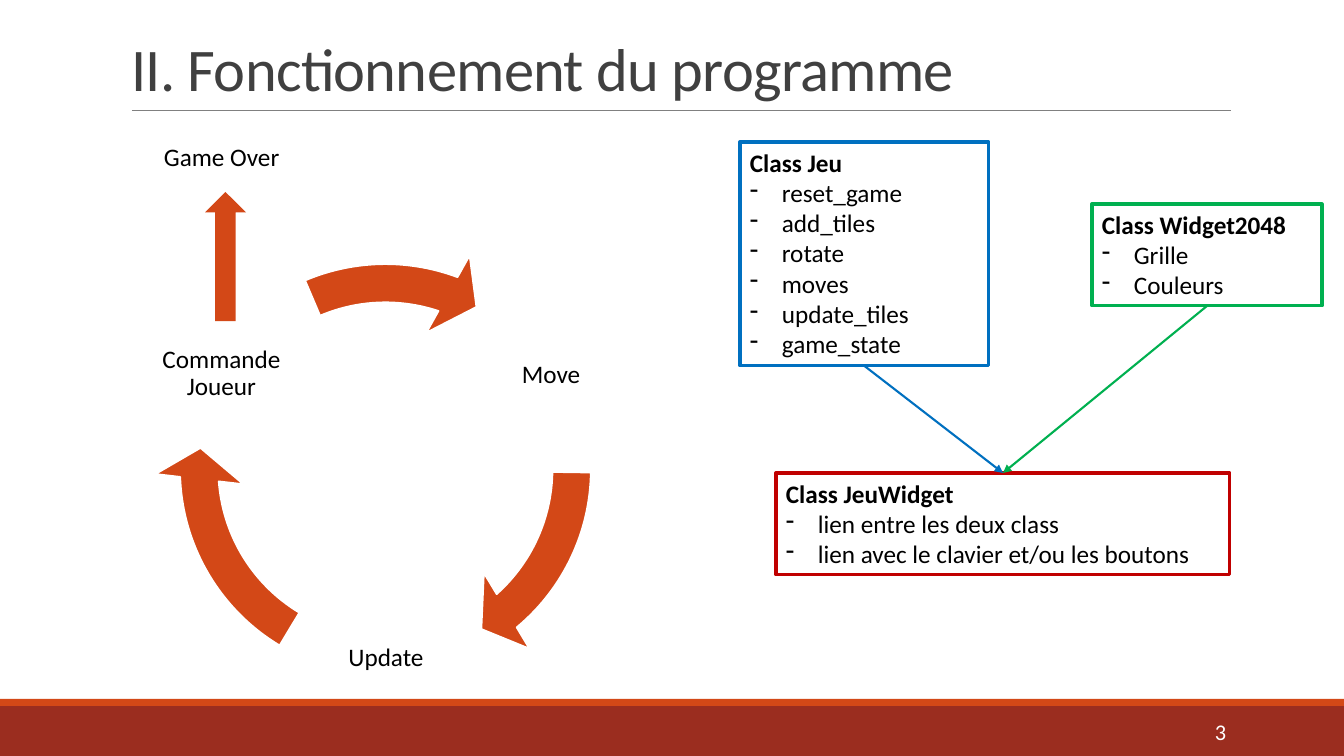
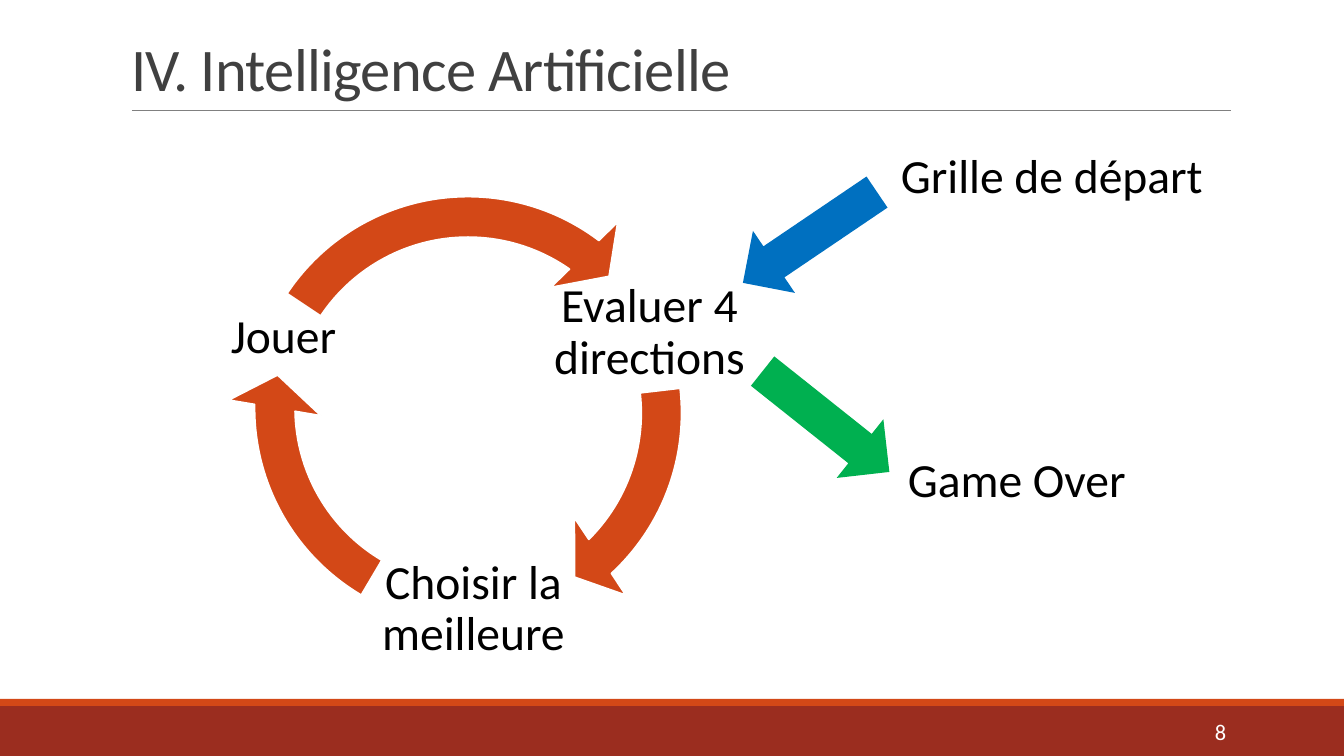
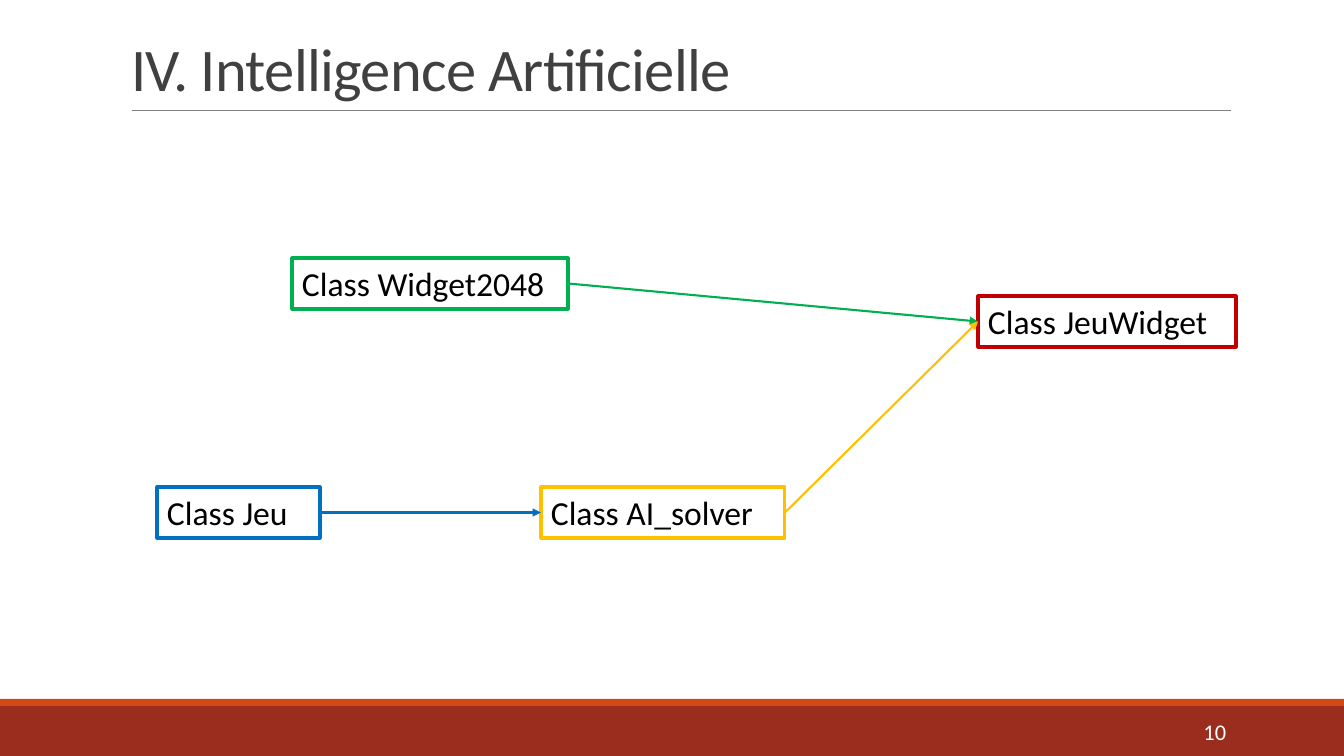
from dataclasses import dataclass

from pptx import Presentation
from pptx.dml.color import RGBColor
from pptx.enum.shapes import MSO_CONNECTOR, MSO_SHAPE
from pptx.enum.text import MSO_ANCHOR, PP_ALIGN
from pptx.oxml.ns import qn
from pptx.oxml.xmlchemy import OxmlElement
from pptx.util import Emu, Pt


@dataclass(frozen=True)
class Theme:
    """Colours, font and type sizes of the presentation."""
    font: str = "Calibri"
    title: str = "404040"
    text: str = "000000"
    white: str = "FFFFFF"
    orange: str = "D34817"
    brick: str = "9B2D1F"
    rule: str = "808080"
    blue: str = "0070C0"
    green: str = "00B050"
    red: str = "C00000"
    yellow: str = "FFC000"
    title_size: float = 43.2
    number_size: int = 16
    body_size: int = 18
    class_size: int = 24
    large_size: int = 34


THEME = Theme()
SCALE = 12192000 / 1344  # EMU per pixel
SLIDE_SIZE = (1344, 756)
TITLE_BOX = (121, 31, 1109, 78)
NUMBER_BOX = (1092, 712, 144, 40)
BANDS = [((0, 706, 1344, 50), THEME.brick), ((0, 699, 1344, 7), THEME.orange)]
RULE = (132, 110, 1231, 110)
BULLET_INDENT = 32
TOP, LEFT, BOTTOM, RIGHT = range(4)  # connection sites of a rectangle

# Class boxes: name -> (box, colour, bulleted members)
# Links: (source, site, target, site); a link takes the colour of its source
# Cycle labels: (text, box); cycle arrows: (box, start angle, head angle, rotation)
SLIDES = [
    {
        "title": "II. Fonctionnement du programme",
        "number": "3",
        "class_size": THEME.body_size,
        "classes": {
            "Class Jeu": ((740, 142, 249, 224), THEME.blue,
                          ["reset_game", "add_tiles", "rotate", "moves",
                           "update_tiles", "game_state"]),
            "Class Widget2048": ((1092, 204, 230, 102), THEME.green,
                                 ["Grille", "Couleurs"]),
            "Class JeuWidget": ((776, 473, 454, 102), THEME.red,
                                ["lien entre les deux class",
                                 "lien avec le clavier et/ou les boutons"]),
        },
        "links": [("Class Jeu", BOTTOM, "Class JeuWidget", TOP),
                  ("Class Widget2048", BOTTOM, "Class JeuWidget", TOP)],
        "label_size": THEME.body_size,
        "label_inset": 3,
        "cycle_labels": [("Move", (453, 277, 196, 196)),
                         ("Update", (288, 560, 196, 196)),
                         ("Commande Joueur", (157, 301, 129, 146))],
        "cycle_arrows": [((155, 239, 461, 461), 0.87, 49.38, 0),
                         ((155, 239, 461, 461), 121.01, 177.01, 0),
                         ((155, 239, 461, 461), 238.28, 280.93, 8.7)],
        "block_arrows": [(MSO_SHAPE.UP_ARROW, (205, 192, 41, 129), THEME.orange, 0)],
        "labels": [("Game Over", (154, 136, 249, 40))],
    },
    {
        "title": "IV. Intelligence Artificielle",
        "number": "8",
        "label_size": THEME.large_size,
        "label_inset": 5,
        "cycle_labels": [("Evaluer 4 directions", (546, 275, 207, 116)),
                         ("Choisir la meilleure", (370, 506, 207, 207)),
                         ("Jouer", (180, 303, 207, 71))],
        "cycle_arrows": [((223, 169, 485, 488), 353.41, 46.8, 0),
                         ((228, 164, 488, 488), 120.62, 180.03, 0),
                         ((224, 170, 488, 488), 213.66, 306.12, 0)],
        "block_arrows": [
            (MSO_SHAPE.LEFT_ARROW, (729, 200, 162, 75), THEME.blue, 325.9),
            (MSO_SHAPE.LEFT_ARROW, (745, 384, 162, 75), THEME.green, 218.5)],
        "labels": [("Grille de départ", (891, 141, 364, 67)),
                   ("Game Over", (898, 445, 297, 67))],
    },
    {
        "title": "IV. Intelligence Artificielle",
        "number": "10",
        "class_size": THEME.class_size,
        "classes": {
            "Class Widget2048": ((292, 258, 276, 51), THEME.green, []),
            "Class Jeu": ((157, 487, 163, 51), THEME.blue, []),
            "Class AI_solver": ((541, 487, 244, 51), THEME.yellow, []),
            "Class JeuWidget": ((978, 296, 258, 51), THEME.red, []),
        },
        "links": [("Class Jeu", RIGHT, "Class AI_solver", LEFT),
                  ("Class Widget2048", RIGHT, "Class JeuWidget", LEFT),
                  ("Class AI_solver", RIGHT, "Class JeuWidget", LEFT)],
    },
]


def emu(*pixels):
    """Turn pixel lengths into EMU."""
    return [Emu(round(pixel * SCALE)) for pixel in pixels]


def set_all(target, values):
    """Set attributes of an object from a dict."""
    for name, value in values.items():
        setattr(target, name, value)


def write(paragraph, text, size, colour=THEME.text, bold=False, **layout):
    """Write one formatted run and lay out its paragraph."""
    run = paragraph.add_run()
    run.text = text
    set_all(run.font, {"name": THEME.font, "size": Pt(size), "bold": bold})
    run.font.color.rgb = RGBColor.from_string(colour)
    set_all(paragraph, layout)
    return run


def add_bullet(paragraph):
    """Give a paragraph a hanging dash."""
    indent = emu(BULLET_INDENT)[0]
    properties = paragraph._p.get_or_add_pPr()
    properties.set("marL", str(indent))
    properties.set("indent", str(-indent))
    bullet = OxmlElement("a:buChar")
    bullet.set("char", "-")
    properties.append(bullet)


def add_shape(slide, kind, box, fill=None, line=None, width=0, rotation=0):
    """Add a preset shape without shadow."""
    shape = slide.shapes.add_shape(kind, *emu(*box))
    shape.shadow.inherit = False
    shape.rotation = rotation
    for colour, target in ((fill, shape.fill), (line, shape.line.fill)):
        if colour:
            target.solid()
            target.fore_color.rgb = RGBColor.from_string(colour)
        else:
            target.background()
    if line:
        shape.line.width = Pt(width)
    return shape


def add_line(slide, points, colour, width):
    """Add a straight connector without shadow."""
    connector = slide.shapes.add_connector(MSO_CONNECTOR.STRAIGHT, *emu(*points))
    connector.line.color.rgb = RGBColor.from_string(colour)
    connector.line.width = Pt(width)
    connector.element.find(qn("p:spPr")).append(OxmlElement("a:effectLst"))
    return connector


def add_label(slide, text, box, size, colour=THEME.text, frame_format=None, **layout):
    """Add a wrapping text box with one paragraph."""
    frame = slide.shapes.add_textbox(*emu(*box)).text_frame
    set_all(frame, {"word_wrap": True, **(frame_format or {})})
    write(frame.paragraphs[0], text, size, colour, **layout)


def add_shared_layout(layout, slide):
    """Draw bands and title rule once and move them to the layout."""
    parts = [add_shape(slide, MSO_SHAPE.RECTANGLE, box, fill) for box, fill in BANDS]
    parts.append(add_line(slide, RULE, THEME.rule, 0.5))
    for part in parts:
        layout.shapes.element.append(part.element)


def add_heading(slide, title, number):
    """Place the title and the page number."""
    placeholder = slide.shapes.title
    set_all(placeholder, dict(zip(("left", "top", "width", "height"), emu(*TITLE_BOX))))
    frame = placeholder.text_frame
    set_all(frame, {"vertical_anchor": MSO_ANCHOR.BOTTOM, "word_wrap": True})
    run = write(frame.paragraphs[0], title, THEME.title_size, THEME.title,
                alignment=PP_ALIGN.LEFT, line_spacing=0.85)
    run._r.get_or_add_rPr().set("spc", "-50")
    add_label(slide, number, NUMBER_BOX, THEME.number_size, THEME.white,
              {"vertical_anchor": MSO_ANCHOR.MIDDLE}, alignment=PP_ALIGN.RIGHT)


def add_class(slide, name, box, colour, members, size):
    """Add an outlined class box with its members."""
    shape = add_shape(slide, MSO_SHAPE.RECTANGLE, box, line=colour, width=2.25)
    frame = shape.text_frame
    set_all(frame, {"vertical_anchor": MSO_ANCHOR.TOP, "word_wrap": True})
    write(frame.paragraphs[0], name, size, bold=bool(members), alignment=PP_ALIGN.LEFT)
    for member in members:
        paragraph = frame.add_paragraph()
        write(paragraph, member, size, alignment=PP_ALIGN.LEFT)
        add_bullet(paragraph)
    return shape


def add_class_diagram(slide, content):
    """Add the class boxes and the arrows that link them."""
    classes = content.get("classes", {})
    shapes = {name: add_class(slide, name, *details, content["class_size"])
              for name, details in classes.items()}
    for source, source_site, target, target_site in content.get("links", []):
        connector = add_line(slide, (0, 0, 0, 0), classes[source][1], 1.5)
        connector.begin_connect(shapes[source], source_site)
        connector.end_connect(shapes[target], target_site)
        head = OxmlElement("a:tailEnd")
        head.set("type", "triangle")
        connector.element.find(".//" + qn("a:ln")).append(head)


def add_cycle(slide, content):
    """Add the cycle steps, each followed by its curved arrow."""
    inset = emu(content["label_inset"])[0]
    frame_format = {"vertical_anchor": MSO_ANCHOR.MIDDLE}
    for side in ("left", "top", "right", "bottom"):
        frame_format["margin_" + side] = inset
    steps = zip(content["cycle_labels"], content["cycle_arrows"])
    for (text, text_box), (arrow_box, start, head, rotation) in steps:
        add_label(slide, text, text_box, content["label_size"],
                  frame_format=frame_format, alignment=PP_ALIGN.CENTER, line_spacing=0.9)
        arrow = add_shape(slide, MSO_SHAPE.CIRCULAR_ARROW, arrow_box, THEME.orange,
                          THEME.white, 1.25, rotation)
        # an angle adjustment holds 0.6 per degree
        values = (0.083, 9.61 * 0.6, head * 0.6, start * 0.6, 0.096)
        for index, value in enumerate(values):
            arrow.adjustments[index] = value
    for kind, box, colour, rotation in content["block_arrows"]:
        add_shape(slide, kind, box, colour, rotation=rotation)
    for text, box in content["labels"]:
        add_label(slide, text, box, content["label_size"])


def build():
    """Build and save the presentation."""
    presentation = Presentation()
    presentation.slide_width, presentation.slide_height = emu(*SLIDE_SIZE)
    layout = presentation.slide_layouts.get_by_name("Title Only")
    for index, content in enumerate(SLIDES):
        slide = presentation.slides.add_slide(layout)
        if index == 0:
            add_shared_layout(layout, slide)
        add_heading(slide, content["title"], content["number"])
        add_class_diagram(slide, content)
        if "cycle_labels" in content:
            add_cycle(slide, content)
    presentation.save("out.pptx")


build()
